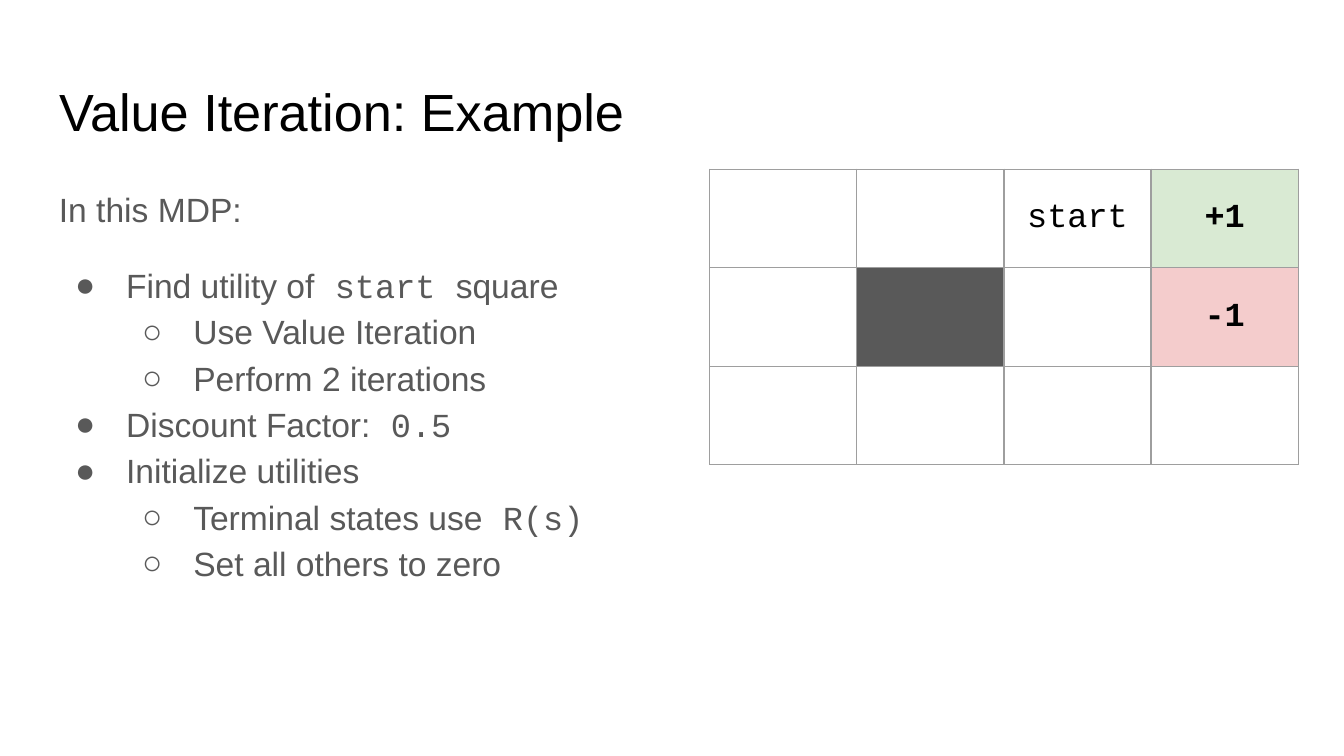
import pptx
import pptx.dml.color
import pptx.enum.text
import pptx.oxml
import pptx.oxml.ns
import pptx.util
from pptx.util import Inches

COLORS = {"black": "000000", "gray": "595959", "border": "9E9E9E",
          "white": "FFFFFF", "green": "D9EAD3", "red": "F4CCCC"}
SANS, MONO = "Arial", "Courier New"
BULLETS = {1: "●", 2: "○"}
BODY = [
    (0, [("In this MDP:", SANS)]),
    (1, [("Find utility of", SANS), (" start ", MONO), ("square", SANS)]),
    (2, [("Use Value Iteration", SANS)]),
    (2, [("Perform 2 iterations", SANS)]),
    (1, [("Discount Factor:", SANS), (" 0.5", MONO)]),
    (1, [("Initialize utilities", SANS)]),
    (2, [("Terminal states use", SANS), (" R(s)", MONO)]),
    (2, [("Set all others to zero", SANS)]),
]
GRID_ROWS, GRID_COLUMNS = 3, 4
CELLS = {(0, 2): ("start", "white", False), (0, 3): ("+1", "green", True),
         (1, 1): ("", "gray", False), (1, 3): ("-1", "red", True)}


def rgb(name):
    return pptx.dml.color.RGBColor.from_string(COLORS[name])


class SlideWriter:
    def __init__(self, slide, text_size=18):
        self.slide = slide
        self.text_size = text_size

    def font(self, font, color, size=None, name=None, bold=False):
        font.size = pptx.util.Pt(size or self.text_size)
        font.color.rgb = rgb(color)
        font.bold = bold
        if name:
            font.name = name

    def frame(self, frame):
        frame.margin_left = frame.margin_right = Inches(0.1)
        frame.margin_top = frame.margin_bottom = Inches(0.1)
        frame.word_wrap = True
        frame.auto_size = pptx.enum.text.MSO_AUTO_SIZE.NONE
        frame.vertical_anchor = pptx.enum.text.MSO_ANCHOR.TOP

    def title(self, text, left, top, width, height):
        title = self.slide.shapes.title
        title.left, title.top = Inches(left), Inches(top)
        title.width, title.height = Inches(width), Inches(height)
        self.frame(title.text_frame)
        title.text_frame.text = text
        para = title.text_frame.paragraphs[0]
        para.alignment = pptx.enum.text.PP_ALIGN.LEFT
        self.font(para.font, "black", 28, SANS)

    def bullet(self, para, level):
        properties = para._p.get_or_add_pPr()
        properties.set("marL", str(Inches(0.5 * level)))
        properties.set("indent", str(Inches(-0.38)))
        namespace = pptx.oxml.ns.nsdecls("a")
        for xml in (
            f'<a:buClr {namespace}><a:srgbClr val="{COLORS["gray"]}"/></a:buClr>',
            f'<a:buFont {namespace} typeface="{SANS}"/>',
            f'<a:buChar {namespace} char="{BULLETS[level]}"/>',
        ):
            properties.append(pptx.oxml.parse_xml(xml))

    def body(self, items, left, top, width, height):
        box = self.slide.shapes.add_textbox(
            Inches(left), Inches(top), Inches(width), Inches(height))
        self.frame(box.text_frame)
        for index, (level, spans) in enumerate(items):
            para = box.text_frame.paragraphs[0] if index == 0 else box.text_frame.add_paragraph()
            para.line_spacing = 1.15
            if index == 1:
                para.space_before = pptx.util.Pt(16)
            if level:
                para.level = level - 1
                self.bullet(para, level)
            names = {name for text, name in spans}
            self.font(para.font, "gray", name=SANS if names == {SANS} else None)
            for text, name in spans:
                span = para.add_run()
                span.text = text
                if len(names) > 1:
                    span.font.name = name

    def cell(self, cell, text, fill, bold):
        properties = cell._tc.get_or_add_tcPr()
        for side in ("lnL", "lnR", "lnT", "lnB"):
            properties.append(pptx.oxml.parse_xml(
                f'<a:{side} {pptx.oxml.ns.nsdecls("a")} w="{pptx.util.Pt(0.75)}">'
                f'<a:solidFill><a:srgbClr val="{COLORS["border"]}"/></a:solidFill></a:{side}>'))
        cell.fill.solid()
        cell.fill.fore_color.rgb = rgb(fill)
        cell.margin_left = cell.margin_right = Inches(0.1)
        cell.margin_top = cell.margin_bottom = Inches(0.1)
        cell.vertical_anchor = pptx.enum.text.MSO_ANCHOR.MIDDLE
        if text:
            cell.text = text
            para = cell.text_frame.paragraphs[0]
            para.alignment = pptx.enum.text.PP_ALIGN.CENTER
            self.font(para.font, "black", name=MONO, bold=bold)

    def grid(self, cells, left, top, width, height):
        table = self.slide.shapes.add_table(
            GRID_ROWS, GRID_COLUMNS, Inches(left), Inches(top),
            Inches(width), Inches(height)).table
        table.first_row = table.horz_banding = False
        for row_index, row in enumerate(table.rows):
            for column_index, cell in enumerate(row.cells):
                content = cells.get((row_index, column_index), ("", "white", False))
                self.cell(cell, *content)


def main():
    deck = pptx.Presentation()
    deck.slide_width = Inches(10)
    deck.slide_height = deck.slide_width * 9 // 16
    page = SlideWriter(deck.slides.add_slide(deck.slide_layouts[5]))
    page.body(BODY, 0.34, 1.26, 4.37, 3.74)
    page.title("Value Iteration: Example", 0.34, 0.49, 9.32, 0.63)
    page.grid(CELLS, 5.28, 1.26, 4.38, 2.2)
    deck.save("out.pptx")


if __name__ == "__main__":
    main()
